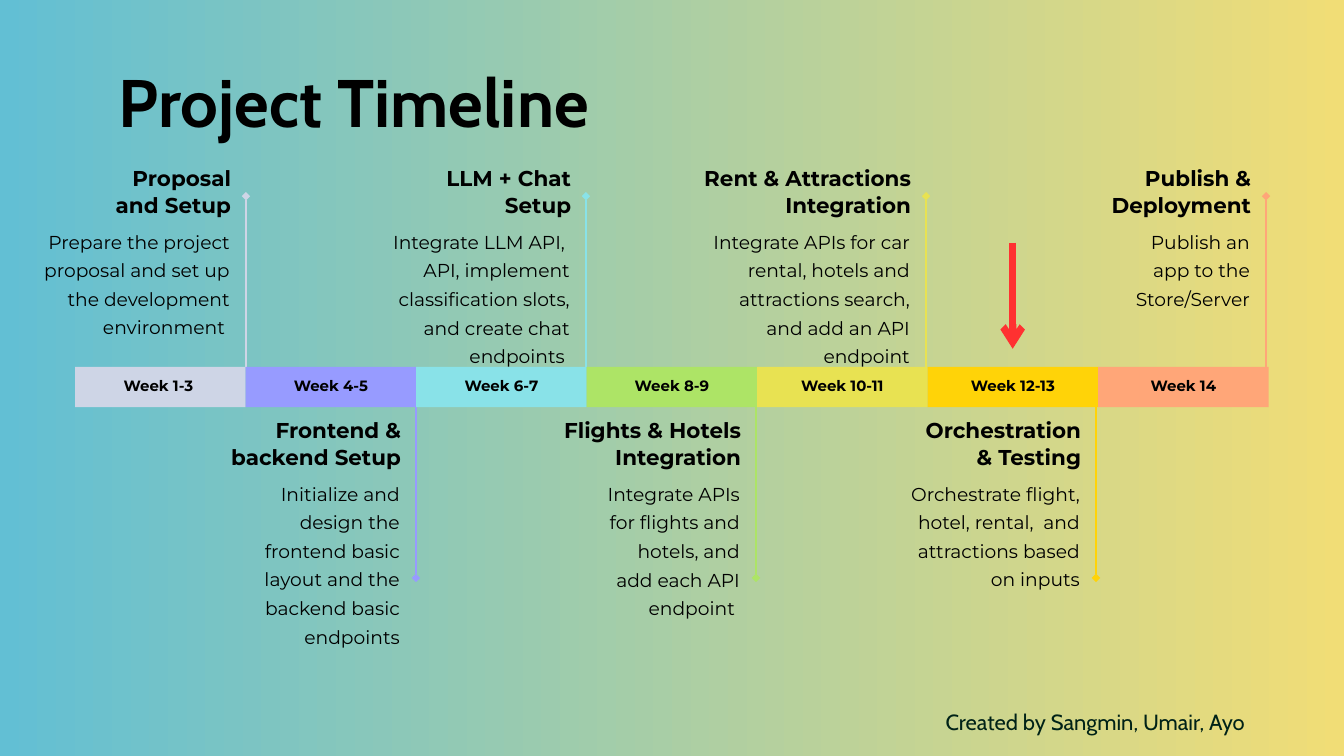
from dataclasses import dataclass

from lxml import etree
from pptx import Presentation
from pptx.dml.color import RGBColor
from pptx.enum.shapes import MSO_CONNECTOR, MSO_SHAPE
from pptx.enum.text import MSO_ANCHOR, MSO_AUTO_SIZE, PP_ALIGN
from pptx.oxml.ns import qn
from pptx.util import Inches, Pt

RECT = MSO_SHAPE.RECTANGLE
STRAIGHT = MSO_CONNECTOR.STRAIGHT
TOP, MIDDLE = MSO_ANCHOR.TOP, MSO_ANCHOR.MIDDLE
FIT = MSO_AUTO_SIZE.SHAPE_TO_FIT_TEXT
CENTER, RIGHT = PP_ALIGN.CENTER, PP_ALIGN.RIGHT


@dataclass(frozen=True)
class Style:
    size: float
    spacing: float
    font: str = "Montserrat"
    bold: bool = False
    color: str = "000000"


@dataclass(frozen=True)
class Theme:
    bg_left: str = "62BFD4"
    bg_right: str = "F1DD76"
    marker: str = "FF3131"
    title: Style = Style(72, 85, "Cabin", True)
    week: Style = Style(16, 22.4, bold=True)
    heading: Style = Style(23, 29.4, bold=True)
    body: Style = Style(20, 30.6)
    credit: Style = Style(23.5, 30.5, "Cabin", color="002217")


THEME = Theme()

# Timeline geometry in inches
BAR_LEFT, BAR_TOP, BAR_BOTTOM = 1.12, 5.46, 6.06
BAR_STEP = 2.537
STEM_LEFT, STEM_STEP, STEM_LENGTH = 3.66, 2.53, 2.54
HEADING_TOPS = (2.43, 6.18)  # above, below the bar
BODY_DROP, LINE_HEIGHT = 0.91, 0.41

# Week, colour, heading, heading width, body, body width, body lines
PHASES = [
    ("Week 1-3 ", "CED5E6", "Proposal and Setup", 2.06,
     "Prepare the project proposal and set up the development environment ", 2.78, 4),
    ("Week 4-5", "979BFF", "Frontend & backend Setup", 2.54,
     "Initialize and design the frontend basic layout and the backend basic endpoints", 2.28, 6),
    ("Week 6-7", "89E2E8", "LLM + Chat Setup", 2.06,
     "Integrate LLM API,  API, implement classification slots, and create chat endpoints ", 2.76, 5),
    ("Week 8-9", "ADE466", "Flights & Hotels Integration", 2.8,
     "Integrate APIs for flights and hotels, and add each API endpoint ", 2.03, 5),
    ("Week 10-11", "E8E252", "Rent & Attractions Integration", 3.29,
     "Integrate APIs for car rental, hotels and attractions search, and add an API endpoint", 2.98, 5),
    ("Week 12-13", "FFD308", "Orchestration & Testing", 2.52,
     "Orchestrate flight, hotel, rental,  and attractions based on inputs", 2.54, 4),
    ("Week 14", "FFA678", "Publish & Deployment", 2.32,
     "Publish an app to the Store/Server", 2.03, 3),
]


def rgb(color):
    return RGBColor.from_string(color)


def set_background(s):
    fill = s.background.fill
    fill.gradient()
    fill.gradient_angle = 0
    for stop, color in zip(fill.gradient_stops, (THEME.bg_left, THEME.bg_right)):
        stop.color.rgb = rgb(color)


def add_text(s, text, left, top, width, height, style, align, anchor=TOP, inset=0):
    sp = s.shapes.add_textbox(Inches(left), Inches(top), Inches(width), Inches(height))
    tf = sp.text_frame
    tf.word_wrap = True
    if anchor == TOP:
        tf.auto_size = FIT
    tf.vertical_anchor = anchor
    tf.margin_left = tf.margin_right = Inches(inset)
    tf.margin_top = tf.margin_bottom = Inches(inset)
    p = tf.paragraphs[0]
    p.text = text
    p.alignment = align
    p.line_spacing = Pt(style.spacing)
    p.font.name = style.font
    p.font.size = Pt(style.size)
    p.font.bold = style.bold
    p.font.color.rgb = rgb(style.color)


def add_bar(s, left, week, color):
    sp = s.shapes.add_shape(RECT, Inches(left), Inches(BAR_TOP),
                            Inches(BAR_STEP), Inches(BAR_BOTTOM - BAR_TOP))
    sp.shadow.inherit = False
    sp.fill.solid()
    sp.fill.fore_color.rgb = rgb(color)
    sp.line.fill.background()
    add_text(s, week, left, BAR_TOP - 0.1, BAR_STEP, 0.7, THEME.week, CENTER, MIDDLE, 0.06)


def add_tipped_line(s, x, start, end, color, width, tip):
    """Draw a vertical line with an arrowhead at its end."""
    line = s.shapes.add_connector(STRAIGHT, Inches(x), Inches(start), Inches(x), Inches(end))
    line.line.color.rgb = rgb(color)
    line.line.width = Pt(width)
    etree.SubElement(line.line._get_or_add_ln(), qn("a:tailEnd"), type=tip)
    etree.SubElement(line._element.spPr, qn("a:effectLst"))


def add_phase(s, i, phase):
    week, color, heading, heading_width, body, body_width, lines = phase
    below = i % 2
    x = STEM_LEFT + i * STEM_STEP
    add_bar(s, BAR_LEFT + i * BAR_STEP, week, color)
    # Stem with a diamond tip
    start = BAR_BOTTOM if below else BAR_TOP
    end = start + STEM_LENGTH if below else start - STEM_LENGTH
    add_tipped_line(s, x, start, end, color, 3, "diamond")
    # Heading and description, right-aligned beside the stem
    top = HEADING_TOPS[below]
    add_text(s, heading, x - 0.22 - heading_width, top, heading_width, 0.81,
             THEME.heading, RIGHT)
    add_text(s, body, x - 0.24 - body_width, top + BODY_DROP, body_width,
             lines * LINE_HEIGHT, THEME.body, RIGHT)


def main():
    prs = Presentation()
    prs.slide_width, prs.slide_height = Inches(20), Inches(11.25)
    s = prs.slides.add_slide(prs.slide_layouts[6])
    set_background(s)

    # Title
    add_text(s, "Project Timeline", 1.12, 0.92, 8.29, 1.18, THEME.title, CENTER)

    # Timeline
    for i, phase in enumerate(PHASES):
        add_phase(s, i, phase)

    # Current position marker
    add_tipped_line(s, 15.07, 3.61, 5.19, THEME.marker, 7.5, "arrow")

    # Credit
    add_text(s, "Created by Sangmin, Umair, Ayo", 13.72, 10.52, 5.16, 0.4,
             THEME.credit, CENTER)

    prs.save("out.pptx")


if __name__ == "__main__":
    main()
